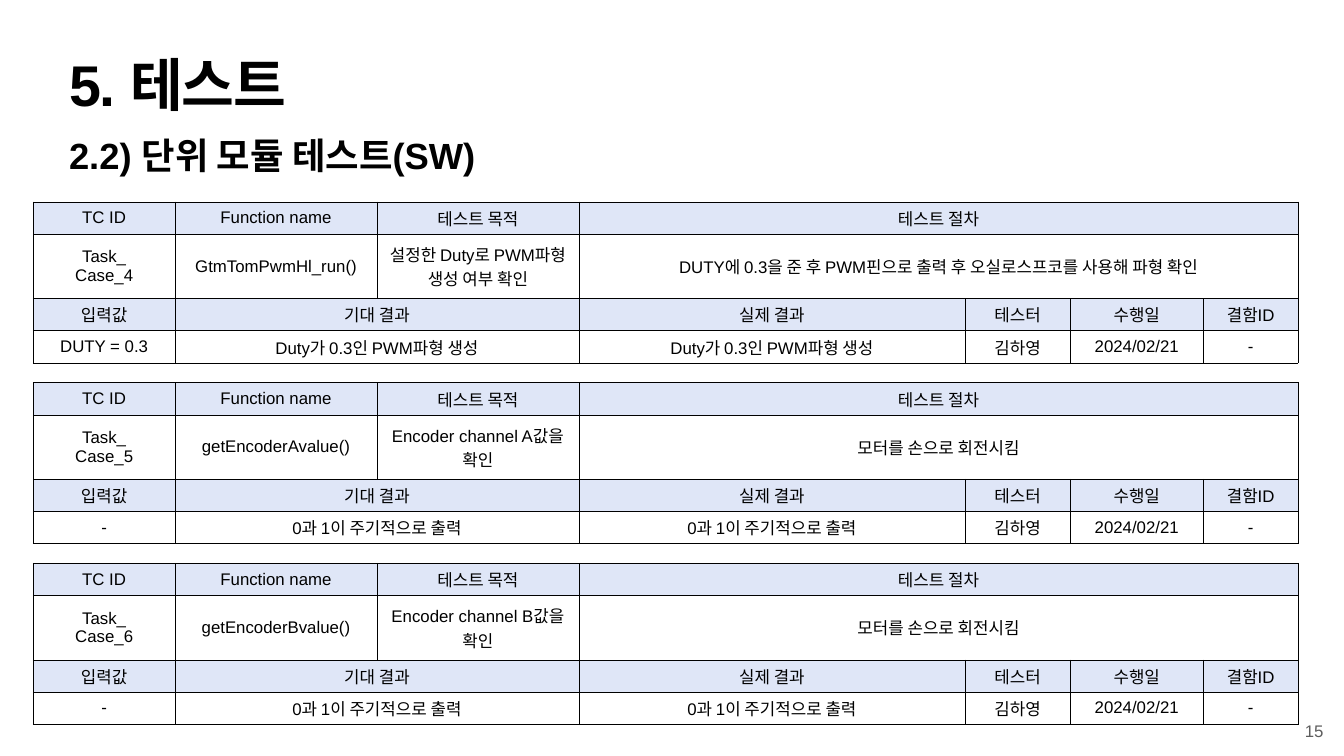
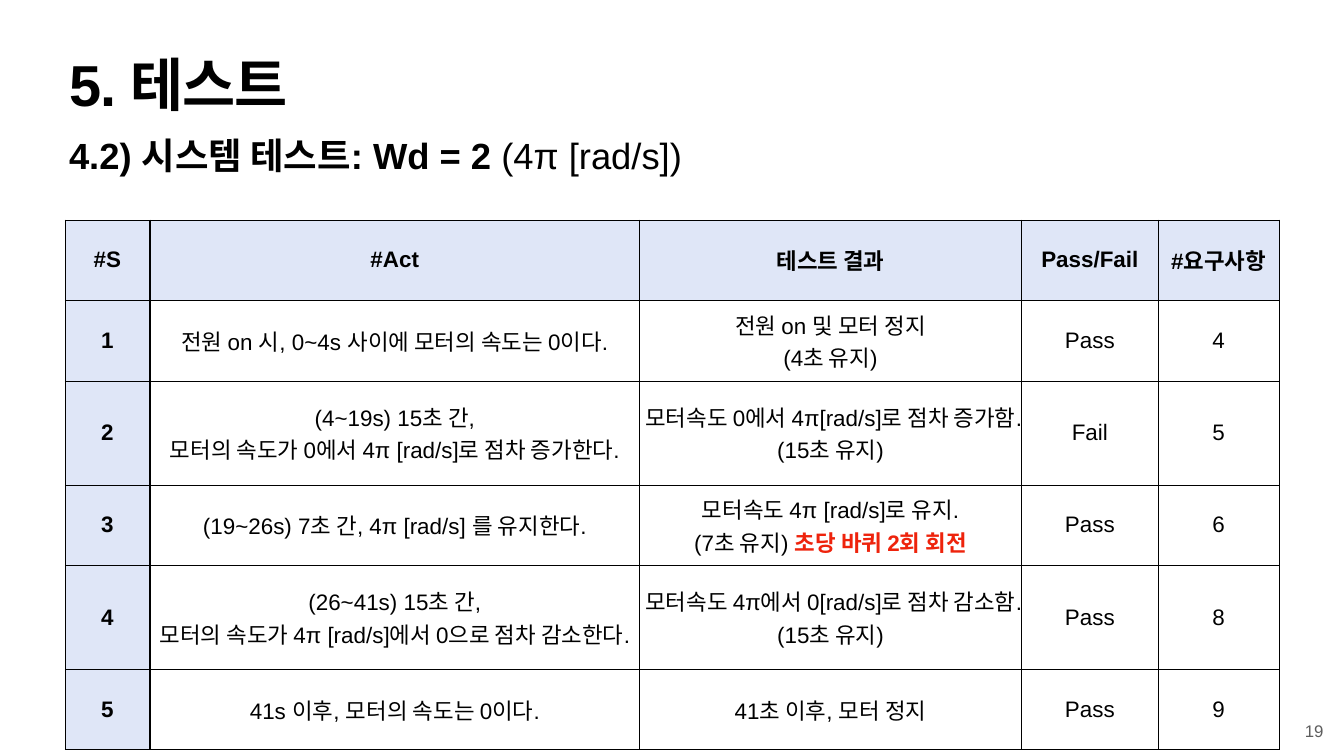
from lxml import etree
from pptx import Presentation
from pptx.dml.color import RGBColor
from pptx.enum import text
from pptx.oxml.ns import qn
from pptx.util import Pt

COLORS = {"ink": "000000", "header": "DFE6F7", "number": "5E5E5E", "alert": "EE230C"}
FONT = "Arial"
SLIDE_W, SLIDE_H = 1920, 1080
INSET = 4
THIN, THICK = 1, 3

CASE_COLS = [202.5, 288.5, 288.5, 551.5, 150.5, 190, 135.5]
CASE_ROWS = [46, 92, 46, 46]
CASE_BOX = (47.5, 288.5)
CASE_STEP = 258.1
# None continues the cell to its left
CASE_HEADS = (["TC ID", "Function name", "테스트 목적", "테스트 절차", None, None, None],
              ["입력값", "기대 결과", None, "실제 결과", "테스터", "수행일", "결함ID"])
# ID, function, purpose, procedure, input, result
CASES = [
    (4, "GtmTomPwmHl_run()", "설정한 Duty로 PWM파형 생성 여부 확인",
     "DUTY에 0.3을 준 후 PWM핀으로 출력 후 오실로스프코를 사용해 파형 확인",
     "DUTY = 0.3", "Duty가 0.3인 PWM파형 생성"),
    (5, "getEncoderAvalue()", "Encoder channel A값을 확인",
     "모터를 손으로 회전시킴", "-", "0과 1이 주기적으로 출력"),
    (6, "getEncoderBvalue()", "Encoder channel B값을 확인",
     "모터를 손으로 회전시킴", "-", "0과 1이 주기적으로 출력"),
]

SYSTEM_COLS = [121, 700, 545, 196, 172]
ROW, TALL_ROW = 115, 148.5  # a tall row holds three lines
SYSTEM_ROWS = [ROW, ROW, TALL_ROW, ROW, TALL_ROW, ROW]
SYSTEM_BOX = (93, 314.25)
SYSTEM_STEPS = [
    ["#S", "#Act", "테스트 결과", "Pass/Fail", "#요구사항"],
    ["1", "전원 on 시, 0~4s 사이에 모터의 속도는 0이다.",
     ["전원 on 및 모터 정지", "(4초 유지)"], "Pass", "4"],
    ["2", ["(4~19s) 15초 간,", "모터의 속도가 0에서 4π [rad/s]로 점차 증가한다."],
     ["모터속도 0에서 4π[rad/s]로 점차 증가함.", "(15초 유지)"], "Fail", "5"],
    ["3", "(19~26s) 7초 간, 4π [rad/s] 를 유지한다.",
     ["모터속도 4π [rad/s]로 유지.",
      [("(7초 유지) ", "ink", False), ("초당 바퀴 2회 회전", "alert", True)]], "Pass", "6"],
    ["4", ["(26~41s) 15초 간,", "모터의 속도가 4π [rad/s]에서 0으로 점차 감소한다."],
     ["모터속도 4π에서 0[rad/s]로 점차 감소함.", "(15초 유지)"], "Pass", "8"],
    ["5", "41s 이후, 모터의 속도는 0이다.", "41초 이후, 모터 정지", "Pass", "9"],
]


def rgb(name):
    return RGBColor.from_string(COLORS[name])


def write(frame, content, size, color="ink", bold=False, align=text.PP_ALIGN.CENTER):
    """Content is one line or a list of lines; a line is a string or (text, colour, bold) runs."""
    lines = content if isinstance(content, list) else [content]
    for index, line in enumerate(lines):
        paragraph = frame.paragraphs[0] if index == 0 else frame.add_paragraph()
        paragraph.alignment = align
        font = paragraph.font
        font.name, font.size, font.bold = FONT, Pt(size), bold
        font.color.rgb = rgb(color)
        if isinstance(line, str):
            paragraph.add_run().text = line
            continue
        for words, run_color, run_bold in line:
            run = paragraph.add_run()
            run.text = words
            run.font.bold = run_bold
            run.font.color.rgb = rgb(run_color)


def add_text(slide, box, content, size, inset=INSET, **style):
    frame = slide.shapes.add_textbox(*map(Pt, box)).text_frame
    frame.word_wrap = True
    frame.margin_left = frame.margin_right = Pt(inset)
    frame.margin_top = frame.margin_bottom = Pt(inset)
    write(frame, content, size, **style)
    return frame


def add_heading(slide, subtitle, size, spacing):
    left, top, width = 95, 85, 1730
    title = add_text(slide, (left, top, width, 113), "5. 테스트", size,
                     bold=True, align=text.PP_ALIGN.LEFT).paragraphs[0]
    title.line_spacing = 0.8
    title.runs[0]._r.get_or_add_rPr().set("spc", str(int(spacing * 100)))
    add_text(slide, (left, top + 102, width, 73.5), subtitle, 52, inset=3.6,
             bold=True, align=text.PP_ALIGN.LEFT)


def add_page_number(slide, number):
    frame = add_text(slide, (SLIDE_W - 60.5, SLIDE_H - 54, 36, 36), str(number), 24,
                     color="number")
    frame.word_wrap = False
    frame.auto_size = text.MSO_AUTO_SIZE.SHAPE_TO_FIT_TEXT
    frame.vertical_anchor = text.MSO_ANCHOR.MIDDLE


def set_borders(cell, right):
    properties = cell._tc.get_or_add_tcPr()
    for side, width in (("L", THIN), ("R", right), ("T", THIN), ("B", THIN)):
        line = etree.SubElement(properties, qn("a:ln" + side), w=str(Pt(width)))
        fill = etree.SubElement(line, qn("a:solidFill"))
        etree.SubElement(fill, qn("a:srgbClr"), val=COLORS["ink"])


def style_cell(cell, content, size, head, bold=False, right=THIN):
    cell.margin_left = cell.margin_right = Pt(INSET)
    cell.margin_top = cell.margin_bottom = Pt(INSET)
    cell.vertical_anchor = text.MSO_ANCHOR.MIDDLE
    set_borders(cell, right)
    if head:
        cell.fill.solid()
        cell.fill.fore_color.rgb = rgb("header")
    else:
        cell.fill.background()
    if content is not None:
        write(cell.text_frame, content, size, bold=bold)


def add_grid(slide, corner, widths, heights):
    table = slide.shapes.add_table(len(heights), len(widths), *map(Pt, corner),
                                   Pt(sum(widths)), Pt(sum(heights))).table
    table.first_row = table.horz_banding = False
    for column, width in zip(table.columns, widths):
        column.width = Pt(width)
    for row, height in zip(table.rows, heights):
        row.height = Pt(height)
    return table


def add_case_table(slide, corner, case):
    number, function, purpose, procedure, value, result = case
    rows = [CASE_HEADS[0],
            [["Task_", f"Case_{number}"], function, purpose, procedure, None, None, None],
            CASE_HEADS[1],
            [value, result, None, result, "김하영", "2024/02/21", "-"]]
    table = add_grid(slide, corner, CASE_COLS, CASE_ROWS)
    for r, row in enumerate(rows):
        for c, content in enumerate(row):
            style_cell(table.cell(r, c), content, 24, head=r % 2 == 0)
        first, last = (3, 6) if r < 2 else (1, 2)
        table.cell(r, first).merge(table.cell(r, last))


def add_system_table(slide, corner):
    table = add_grid(slide, corner, SYSTEM_COLS, SYSTEM_ROWS)
    for r, row in enumerate(SYSTEM_STEPS):
        for c, content in enumerate(row):
            head = r == 0 or c == 0
            style_cell(table.cell(r, c), content, 32, head, bold=head,
                       right=THIN if c else THICK)


def add_unit_test_slide(deck):
    slide = deck.slides.add_slide(deck.slide_layouts[6])
    add_heading(slide, "2.2) 단위 모듈 테스트(SW)", 82, -2)
    left, top = CASE_BOX
    for index, case in enumerate(CASES):
        add_case_table(slide, (left, top + index * CASE_STEP), case)
    add_page_number(slide, 15)


def add_system_test_slide(deck):
    slide = deck.slides.add_slide(deck.slide_layouts[6])
    add_heading(slide, [[("4.2) 시스템 테스트: Wd = 2 ", "ink", True),
                         ("(4π [rad/s])", "ink", False)]], 82.5, -1.9)
    add_system_table(slide, SYSTEM_BOX)
    add_page_number(slide, 19)


def main():
    deck = Presentation()
    deck.slide_width, deck.slide_height = Pt(SLIDE_W), Pt(SLIDE_H)
    add_unit_test_slide(deck)
    add_system_test_slide(deck)
    deck.save("out.pptx")


if __name__ == "__main__":
    main()
